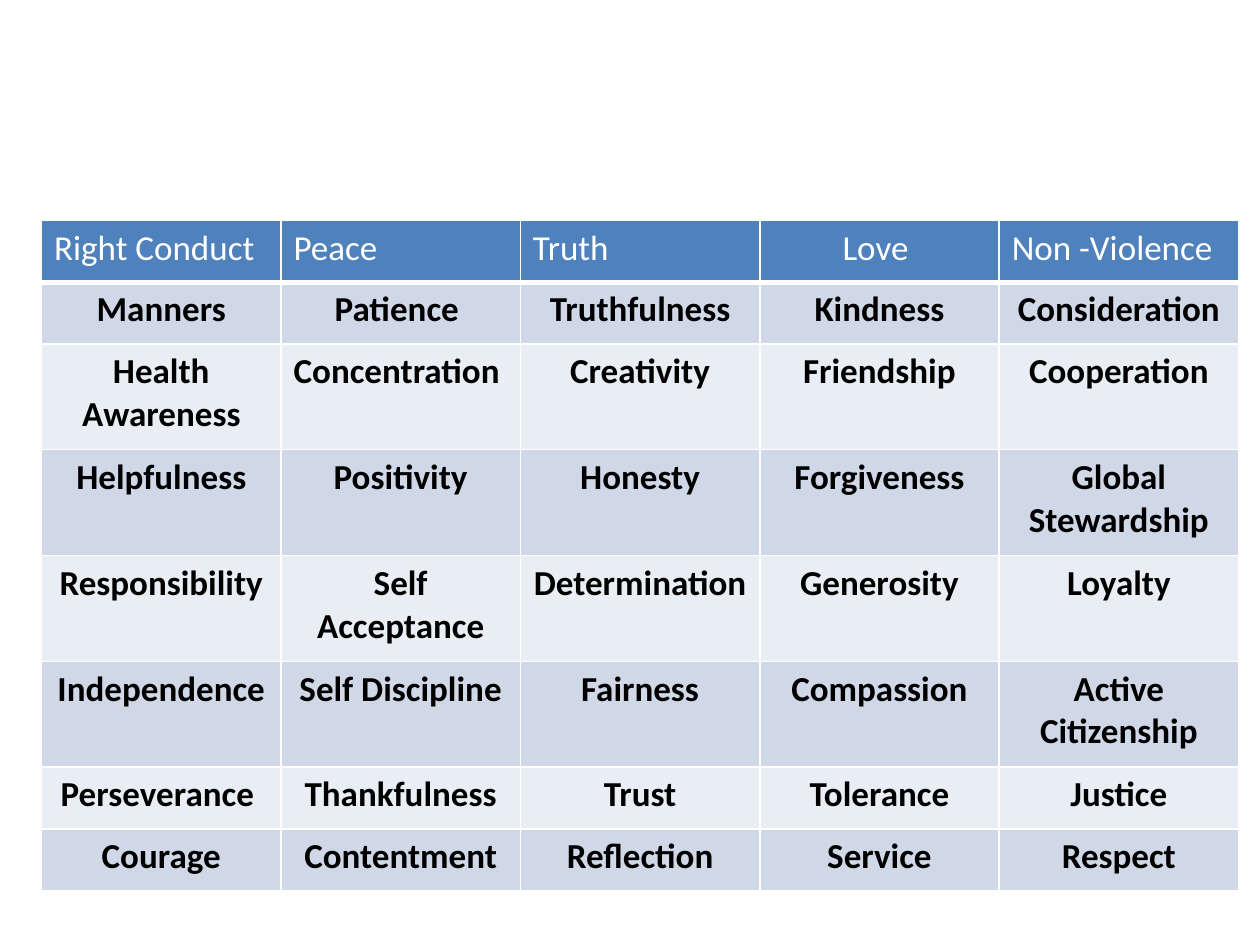
"""Build a slide with a table of five human values and their qualities."""
from lxml import etree
from pptx import Presentation
from pptx.dml.color import RGBColor
from pptx.enum import text
from pptx.oxml import ns
from pptx.util import Inches, Pt

WHITE = RGBColor(0xFF, 0xFF, 0xFF)
BLACK = RGBColor(0x00, 0x00, 0x00)
HEADER_BLUE = RGBColor(0x4F, 0x81, 0xBD)
BANDS = (RGBColor(0xE9, 0xED, 0xF4), RGBColor(0xD0, 0xD8, 0xE8))

COLUMN_WIDTH = 1.9
SINGLE, DOUBLE = 0.49, 0.84
ROW_HEIGHTS = [SINGLE] * 2 + [DOUBLE] * 4 + [SINGLE] * 2

VALUES = (
    ("Right Conduct", "Peace", "Truth", "Love ", "Non -Violence"),
    ("Manners", "Patience ", "Truthfulness", "Kindness", "Consideration"),
    ("Health Awareness", "Concentration ", "Creativity", "Friendship", "Cooperation"),
    ("Helpfulness", "Positivity", "Honesty", "Forgiveness", "Global Stewardship"),
    ("Responsibility", "Self Acceptance", "Determination ", "Generosity", "Loyalty"),
    ("Independence", "Self Discipline", "Fairness", "Compassion", "Active Citizenship"),
    ("Perseverance ", "Thankfulness", "Trust", "Tolerance", "Justice"),
    ("Courage", "Contentment", "Reflection", "Service", "Respect"),
)
CENTERED_HEADER = 3


def set_borders(cell, bottom):
    properties = cell._tc.get_or_add_tcPr()
    for side, points in (("L", 1), ("R", 1), ("T", 1), ("B", bottom)):
        line = etree.SubElement(properties, ns.qn(f"a:ln{side}"), w=str(Pt(points)))
        fill = etree.SubElement(line, ns.qn("a:solidFill"))
        etree.SubElement(fill, ns.qn("a:srgbClr"), val=str(WHITE))


def fill_cell(cell, wording, fill, color, bold, centered):
    set_borders(cell, bottom=1 if bold else 3)
    cell.fill.solid()
    cell.fill.fore_color.rgb = fill
    para = cell.text_frame.paragraphs[0]
    para.alignment = text.PP_ALIGN.CENTER if centered else text.PP_ALIGN.LEFT
    span = para.add_run()
    span.text = wording
    span.font.name = "Calibri"
    span.font.size = Pt(20)
    span.font.bold = bold
    span.font.color.rgb = color


def add_values_table(page):
    columns = len(VALUES[0])
    frame = page.shapes.add_table(
        len(VALUES), columns, Inches(0.33), Inches(1.75),
        Inches(COLUMN_WIDTH * columns), Inches(sum(ROW_HEIGHTS)))
    table = frame.table
    for column in table.columns:
        column.width = Inches(COLUMN_WIDTH)
    for row, height in zip(table.rows, ROW_HEIGHTS):
        row.height = Inches(height)
    for i, words in enumerate(VALUES):
        for j, wording in enumerate(words):
            if i == 0:
                style = HEADER_BLUE, WHITE, False, j == CENTERED_HEADER
            else:
                style = BANDS[i % 2], BLACK, True, True
            fill_cell(table.cell(i, j), wording, *style)


def main():
    deck = Presentation()
    deck.slide_width, deck.slide_height = Inches(10), Inches(7.5)
    page = deck.slides.add_slide(deck.slide_layouts[6])
    add_values_table(page)
    deck.save("out.pptx")


if __name__ == "__main__":
    main()
